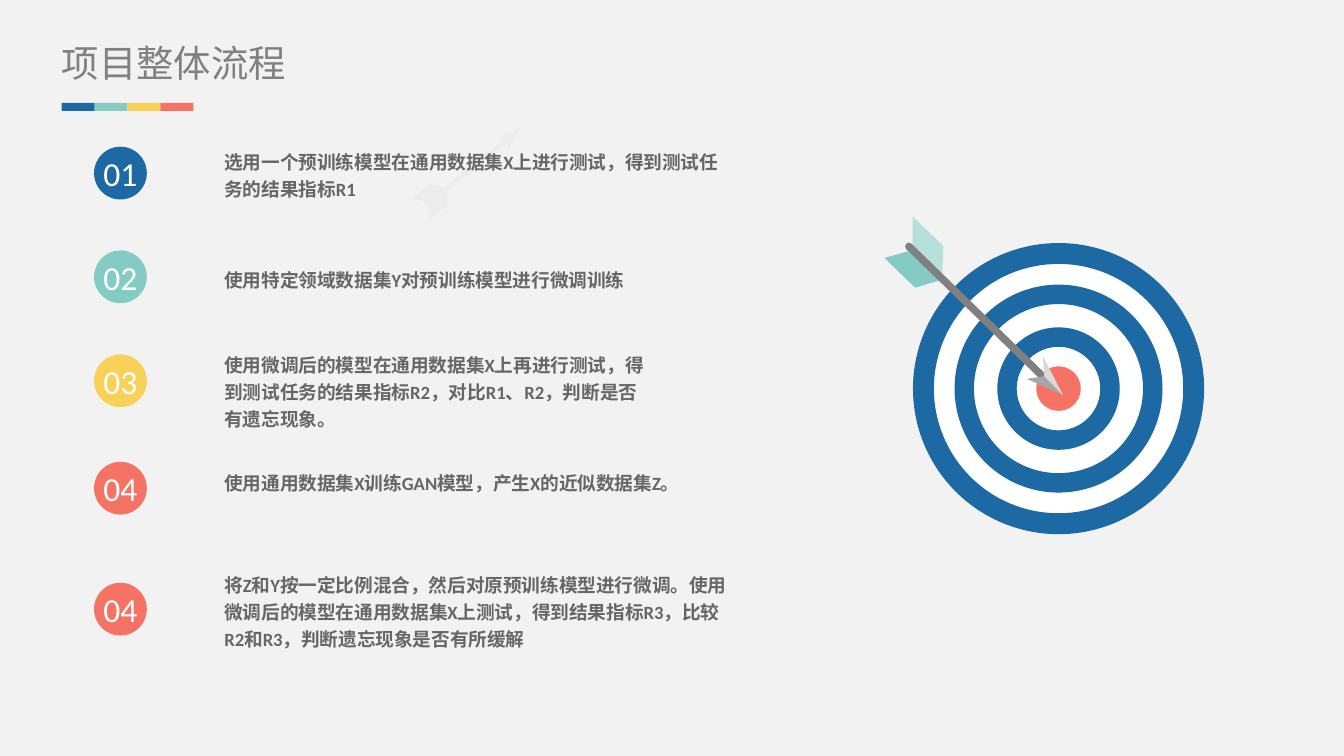
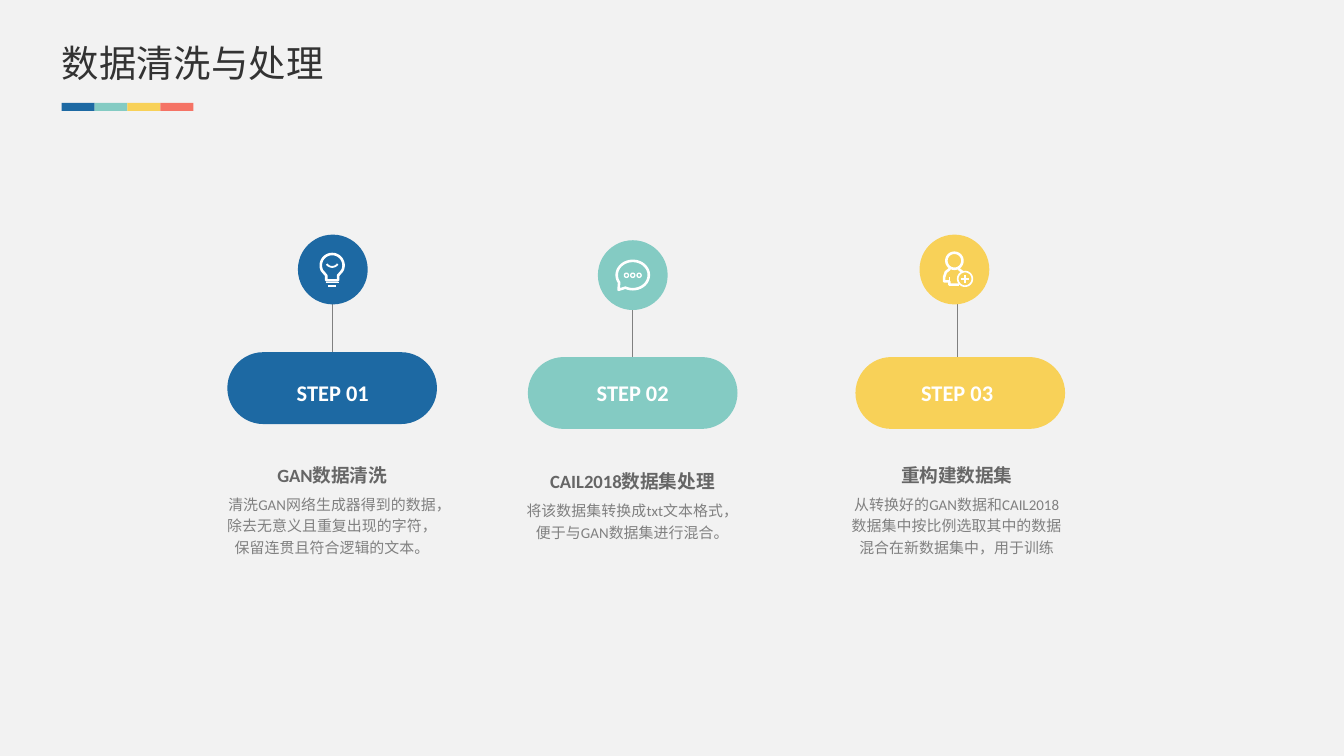
from math import cos, radians, sin

from pptx import Presentation
from pptx.dml.color import RGBColor
from pptx.enum.shapes import MSO_CONNECTOR, MSO_SHAPE
from pptx.enum.text import MSO_ANCHOR, MSO_AUTO_SIZE, PP_ALIGN
from pptx.oxml.ns import qn
from pptx.util import Pt
from lxml import etree

OVAL, RECT = MSO_SHAPE.OVAL, MSO_SHAPE.RECTANGLE
DONUT, PILL = MSO_SHAPE.DONUT, MSO_SHAPE.ROUNDED_RECTANGLE
STRAIGHT = MSO_CONNECTOR.STRAIGHT
LEFT, CENTER = PP_ALIGN.LEFT, PP_ALIGN.CENTER
TOP, MIDDLE = MSO_ANCHOR.TOP, MSO_ANCHOR.MIDDLE
NO_AUTOFIT = MSO_AUTO_SIZE.NONE
TITLE_ONLY = 5

COLORS = {
    "paper": "F2F2F2", "white": "FFFFFF", "blue": "1D69A3", "teal": "84CBC3",
    "pale_teal": "B5E0DB", "yellow": "F8D158", "red": "F57365",
    "ink": "333333", "heading": "666666", "gray": "808080",
    "mid_gray": "A6A6A6", "silver": "BFBFBF", "light_gray": "D9D9D9",
}
ACCENTS = ["blue", "teal", "yellow", "red"]
LATIN, CJK = "Calibri", "Noto Sans CJK SC"

# Content: number, colour, circle top, text top, text width, text
PROCESS = [
    ("01", "blue", 78.6, 78.5, 267.1,
     "选用一个预训练模型在通用数据集X上进行测试，得到测试任务的结果指标R1"),
    ("02", "teal", 134.2, 141.8, 218.9,
     "使用特定领域数据集Y对预训练模型进行微调训练"),
    ("03", "yellow", 189.9, 187.2, 227.5,
     "使用微调后的模型在通用数据集X上再进行测试，得到测试任务的结果指标R2，"
     "对比R1、R2，判断是否有遗忘现象。"),
    ("04", "red", 247.4, 250.6, 257,
     "使用通用数据集X训练GAN模型，产生X的近似数据集Z。"),
    ("04", "red", 312.2, 305.3, 275,
     "将Z和Y按一定比例混合，然后对原预训练模型进行微调。使用微调后的模型在通用数据集X上测试，"
     "得到结果指标R3，比较R2和R3，判断遗忘现象是否有所缓解"),
]


def rgb(name):
    return RGBColor.from_string(COLORS[name])


def write(frame, *paragraphs, size=10, color="heading", bold=False, font=LATIN,
          align=LEFT, anchor=TOP, spacing=None, before=None):
    """Fill a frame; a paragraph is a text or a (text, overrides) pair."""
    frame.word_wrap = True
    frame.auto_size = NO_AUTOFIT
    frame.vertical_anchor = anchor
    frame.margin_left = frame.margin_right = 0
    frame.margin_top = frame.margin_bottom = 0
    for index, item in enumerate(paragraphs):
        text, own = (item, {}) if isinstance(item, str) else item
        line = frame.paragraphs[0] if index == 0 else frame.add_paragraph()
        line.alignment = align
        line.line_spacing = spacing
        if before is not None:
            line.space_before = Pt(before)
        run = line.add_run()
        run.text = text
        run.font.name = font
        run.font.size = Pt(own.get("size", size))
        run.font.bold = own.get("bold", bold)
        run.font.color.rgb = rgb(own.get("color", color))
        east_asian = etree.SubElement(run.font._element, qn("a:ea"))
        east_asian.set("typeface", CJK)


def text_box(slide, left, top, width, height, *paragraphs, **style):
    box = slide.shapes.add_textbox(Pt(left), Pt(top), Pt(width), Pt(height))
    write(box.text_frame, *paragraphs, spacing=1.2, before=3, **style)


def paint(shape, color):
    shape.shadow.inherit = False
    shape.fill.solid()
    shape.fill.fore_color.rgb = rgb(color)
    shape.line.fill.background()
    return shape


def block(slide, kind, left, top, width, height, color):
    shape = slide.shapes.add_shape(kind, Pt(left), Pt(top), Pt(width), Pt(height))
    return paint(shape, color)


def disc(slide, center, diameter, color, kind=OVAL):
    x, y = center
    return block(slide, kind, x - diameter / 2, y - diameter / 2,
                 diameter, diameter, color)


def outline(slide, points, closed=True):
    corners = [(Pt(x), Pt(y)) for x, y in points]
    builder = slide.shapes.build_freeform(*corners[0], scale=1.0)
    builder.add_line_segments(corners[1:], close=closed)
    return builder.convert_to_shape()


def polygon(slide, points, color):
    return paint(outline(slide, points), color)


def line(slide, start, end, color, width, cap="flat"):
    link = slide.shapes.add_connector(
        STRAIGHT, Pt(start[0]), Pt(start[1]), Pt(end[0]), Pt(end[1]))
    link.line.color.rgb = rgb(color)
    link.line.width = Pt(width)
    properties = link.element.spPr
    properties.find(qn("a:ln")).set("cap", cap)
    etree.SubElement(properties, qn("a:effectLst"))


def arc(x, y, rx, ry, start, end, steps=36):
    angles = [radians(start + (end - start) * i / steps) for i in range(steps + 1)]
    return [(x + rx * cos(a), y + ry * sin(a)) for a in angles]


def circle(x, y, radius):
    return arc(x, y, radius, radius, 0, 350)


# Icons: strokes as (points around the centre, closed, line width)
def bulb():
    return [
        (arc(-0.3, -2.2, 6.1, 6.1, 152, 388)
         + [(2.9, 3.2), (2.9, 5.8), (-3.5, 5.8), (-3.5, 3.2)], True, 1.4),
        (arc(-0.3, -5, 3.6, 3.6, 35, 145), False, 1),
        ([(-3.8, 6.9), (3.2, 6.9)], False, 0.9),
        ([(-2.4, 8.7), (1.8, 8.7)], False, 0.9),
    ]


def chat():
    bubble = arc(0, 0, 8.6, 7.6, 117, -212) + [(-7.6, 7.9)]
    return [(bubble, True, 1.4)] + [
        (circle(x, 0.1, 1.1), True, 0.7) for x in (-3.4, 0, 3.4)]


def new_user():
    body = [(-2.4, -0.4), (-4.6, 1.4), (-5.5, 4), (-5.5, 6.4),
            (-2.7, 6.4), (-2.7, 8.1), (2.4, 8.1)]
    return [
        (circle(0, -4.7, 4.3), True, 1.4),
        (body, False, 1.4),
        ([(2.2, -0.4), (4.5, 1.5)], False, 1.4),
        ([(-2.6, 3.8), (-2.6, 6.4)], False, 0.8),
        (circle(5.7, 5, 3.9), True, 0.9),
        ([(3.5, 5), (7.9, 5)], False, 0.9),
        ([(5.7, 2.8), (5.7, 7.2)], False, 0.9),
    ]


def icon(slide, center, strokes):
    for points, closed, width in strokes:
        stroke = outline(
            slide, [(center[0] + x, center[1] + y) for x, y in points], closed)
        stroke.shadow.inherit = False
        stroke.fill.background()
        stroke.line.color.rgb = rgb("white")
        stroke.line.width = Pt(width)


# Title and four-colour band on every slide
def titled_slide(deck, title, color):
    slide = deck.slides.add_slide(deck.slide_layouts[TITLE_ONLY])
    heading = slide.shapes.title
    heading.left, heading.top = Pt(33.1), Pt(21.6)
    heading.width, heading.height = Pt(219), Pt(24.5)
    write(heading.text_frame, title, size=20, color=color, font=CJK)
    for index, accent in enumerate(ACCENTS):
        block(slide, RECT, 33 + 17.65 * index, 55.2, 17.65, 4.3, accent)
    return slide


def target(slide):
    center = (567.1, 208.2)
    disc(slide, center, 154.6, "white")
    disc(slide, center, 23.8, "red")
    for diameter, thickness in ((156, 11.2), (111.4, 10.4), (65.6, 10.4)):
        ring = disc(slide, center, diameter, "blue", DONUT)
        ring.adjustments[0] = thickness / diameter


def dart(slide):
    notch, tail, tip, neck = (504.7, 149.8), (488.9, 133.9), (569.5, 211.7), (559.4, 201.6)
    polygon(slide, [notch, (490.3, 154.1), (473.8, 138.2), tail], "teal")
    polygon(slide, [notch, (505.4, 131.8), (488.9, 115.9), tail], "pale_teal")
    line(slide, (486.9, 132), (562.5, 205.4), "gray", 4, cap="rnd")
    polygon(slide, [(550.1, 203), tip, neck], "mid_gray")
    polygon(slide, [neck, tip, (558.7, 190.8)], "light_gray")


def faint_arrow(slide):
    arrow = polygon(slide, [
        (278.6, 69.1), (272.2, 79.9), (272.2, 76.3), (239.8, 102.2),
        (239.8, 110.2), (229.7, 118.1), (229.7, 110.2), (227.5, 110.2),
        (227.5, 108.7), (228.2, 108), (220.3, 106.6), (230.4, 98.6),
        (237.6, 100.8), (270.7, 74.2), (267.1, 73.4)], "silver")
    tint = arrow.element.spPr.find(qn("a:solidFill"))[0]
    etree.SubElement(tint, qn("a:alpha")).set("val", "10000")


def process_slide(deck):
    slide = titled_slide(deck, "项目整体流程", "gray")
    target(slide)
    dart(slide)
    faint_arrow(slide)
    for number, color, circle_top, text_top, width, text in PROCESS:
        badge = block(slide, OVAL, 50.4, circle_top, 28.3, 28.3, color)
        write(badge.text_frame, number, size=18, color="white",
              align=CENTER, anchor=MIDDLE)
        text_box(slide, 120.2, text_top, width, 42.5, text, bold=True)


def step(slide, number, color, strokes, axis, hub, pill, note, heading, detail):
    """hub is the circle centre; pill and note are left-top corners."""
    line(slide, (axis, hub[1]), (axis, pill[1] + 19), "gray", 0.5)
    disc(slide, hub, 37.4, color)
    icon(slide, hub, strokes)
    capsule = block(slide, PILL, *pill, 112.3, 38.5, color)
    capsule.adjustments[0] = 0.5
    text_box(slide, axis - 28, 200.2, 56, 17.3, f"STEP {number}",
             size=12, color="white", bold=True, align=CENTER)
    text_box(slide, *note, 115.2, 52.6, (heading, {"bold": True}),
             (detail, {"size": 8, "color": "gray"}), align=CENTER)


def data_slide(deck):
    slide = titled_slide(deck, "数据清洗与处理", "ink")
    step(slide, "01", "blue", bulb(), 178.3, (178.3, 144.4), (121.8, 188.7),
         (120.4, 246.2), "GAN数据清洗",
         "清洗GAN网络生成器得到的数据，除去无意义且重复出现的字符，保留连贯且符合逻辑的文本。")
    step(slide, "02", "teal", chat(), 339, (339, 147.4), (282.8, 191.3),
         (281.2, 249.6), "CAIL2018数据集处理",
         "将该数据集转换成txt文本格式，便于与GAN数据集进行混合。")
    step(slide, "03", "yellow", new_user(), 512.8, (511.3, 144.4), (458.3, 191.3),
         (455, 246.2), "重构建数据集",
         "从转换好的GAN数据和CAIL2018数据集中按比例选取其中的数据混合在新数据集中，用于训练")


def main():
    deck = Presentation()
    deck.slide_width, deck.slide_height = Pt(720), Pt(405)
    backdrop = deck.slide_master.background.fill
    backdrop.solid()
    backdrop.fore_color.rgb = rgb("paper")
    process_slide(deck)
    data_slide(deck)
    deck.save("out.pptx")


if __name__ == "__main__":
    main()
